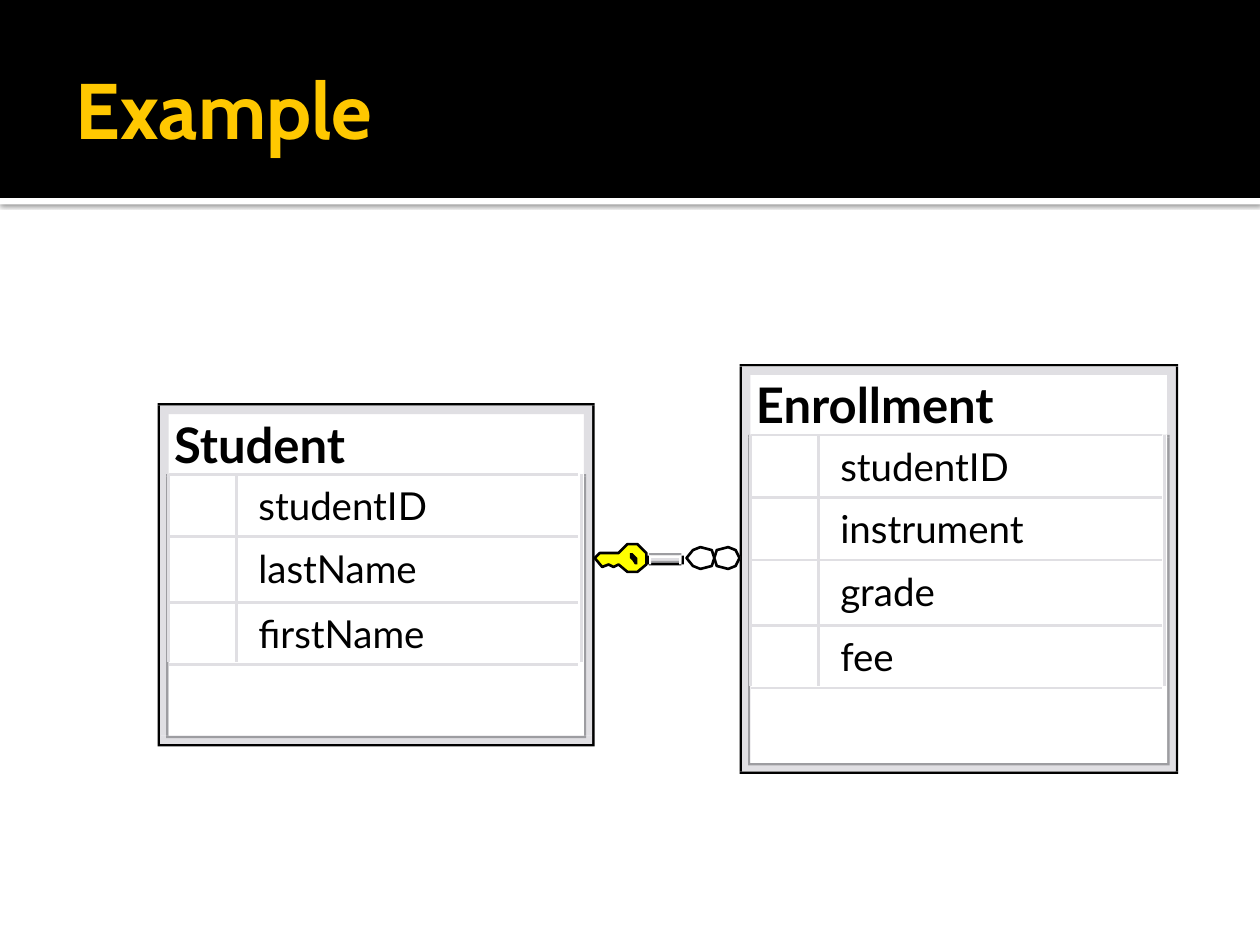
from lxml.etree import SubElement
from pptx import Presentation
from pptx.dml.color import RGBColor
from pptx.enum.shapes import MSO_CONNECTOR as Connector, MSO_SHAPE as Shape
from pptx.enum.text import MSO_ANCHOR as Anchor
from pptx.oxml.ns import qn
from pptx.util import Cm, Pt

BLACK = RGBColor(0x00, 0x00, 0x00)
WHITE = RGBColor(0xFF, 0xFF, 0xFF)
GOLD = RGBColor(0xFF, 0xC8, 0x00)
YELLOW = RGBColor(0xFF, 0xFF, 0x00)
LIGHT = RGBColor(0xE0, 0xDF, 0xE3)
GREY = RGBColor(0x9D, 0x9D, 0xA1)

HAIR = 0.05
FRAME = 0.17
EDGE = HAIR + FRAME


def add_rect(page, left, top, width, height, colour):
    rect = page.shapes.add_shape(
        Shape.RECTANGLE, Cm(left), Cm(top), Cm(width), Cm(height))
    rect.shadow.inherit = False
    rect.fill.solid()
    rect.fill.fore_color.rgb = colour
    rect.line.fill.background()
    return rect


def add_ring(page, left, top, width, height, thick, colour):
    inner = height - 2 * thick
    add_rect(page, left, top, width, thick, colour)
    add_rect(page, left, top + height - thick, width, thick, colour)
    add_rect(page, left, top + thick, thick, inner, colour)
    add_rect(page, left + width - thick, top + thick, thick, inner, colour)


def add_rule(page, x1, y1, x2, y2):
    rule = page.shapes.add_connector(
        Connector.STRAIGHT, Cm(x1), Cm(y1), Cm(x2), Cm(y2))
    rule.line.color.rgb = LIGHT
    rule.line.width = Pt(1.5)
    SubElement(rule._element.spPr, qn("a:effectLst"))


def add_outline(page, left, top, points, fill=None, line=None):
    placed = [(Cm(left + x), Cm(top + y)) for x, y in points]
    builder = page.shapes.build_freeform(*placed[0])
    builder.add_line_segments(placed[1:], close=True)
    shape = builder.convert_to_shape()
    shape.shadow.inherit = False
    if fill is None:
        shape.fill.background()
    else:
        shape.fill.solid()
        shape.fill.fore_color.rgb = fill
    if line is None:
        shape.line.fill.background()
    else:
        shape.line.color.rgb = line
        shape.line.width = Pt(1.5)


def add_text(page, left, top, width, height, text, size, font="Lato",
             colour=BLACK, bold=False):
    box = page.shapes.add_textbox(Cm(left), Cm(top), Cm(width), Cm(height))
    frame = box.text_frame
    frame.word_wrap = False
    frame.margin_left = frame.margin_right = 0
    frame.margin_top = frame.margin_bottom = 0
    span = frame.paragraphs[0].add_run()
    span.text = text
    span.font.size = Pt(size)
    span.font.name = font
    span.font.bold = bold
    span.font.color.rgb = colour
    return frame


def add_header(page, left, top, width, height):
    strip = add_rect(page, left, top + height, width, 0.13, WHITE)
    effects = strip._element.spPr.find(qn("a:effectLst"))
    shadow = SubElement(effects, qn("a:outerShdw"), blurRad=str(Pt(2.5)),
                        dist=str(Pt(0.8)), dir="5400000", rotWithShape="0")
    tint = SubElement(shadow, qn("a:srgbClr"), val="000000")
    SubElement(tint, qn("a:alpha"), val="60000")
    add_rect(page, left, top, width, height, BLACK)
    frame = add_text(page, left + 1.27, top + 0.43, width - 2.54, 3.48,
                     "Example", 45, "Cabin", GOLD, True)
    frame.word_wrap = True
    frame.margin_left = frame.margin_right = Cm(0.25)
    frame.vertical_anchor = Anchor.MIDDLE


def add_entity(page, left, top, width, height, name, name_width, fields):
    add_ring(page, left, top, width, height, HAIR, BLACK)
    add_ring(page, left + HAIR, top + HAIR, width - 2 * HAIR,
             height - 2 * HAIR, FRAME, LIGHT)
    add_text(page, left + 0.33, top + 0.22, name_width, 1.19, name, 28, bold=True)

    body = top + 1.43
    body_height = height - 1.43 - EDGE
    inset = EDGE - HAIR
    add_ring(page, left + inset, body, width - 2 * inset,
             body_height + HAIR, HAIR, GREY)
    add_rect(page, left + EDGE, body, width - 2 * EDGE, body_height, WHITE)

    row = body
    add_rule(page, left + EDGE, row, left + width - 0.33, row)
    for field, field_width, row_height in fields:
        add_text(page, left + 2.03, row + 0.16, field_width, 1.09, field, 22)
        row += row_height
        add_rule(page, left + EDGE, row, left + width - 0.33, row)
    for x in (EDGE, 1.59, width - 0.27):
        add_rule(page, left + x, body, left + x, row - HAIR)


def add_relation(page, left, top):
    bar, bar_width = left + 1.09, 0.66
    for index, colour in enumerate((GREY, WHITE, LIGHT, GREY, BLACK)):
        add_rect(page, bar, top + 0.18 + index * HAIR, bar_width, HAIR, colour)
    for x, colour in ((0, WHITE), (-HAIR, BLACK),
                      (bar_width - HAIR, WHITE), (bar_width, BLACK)):
        add_rect(page, bar + x, top + 0.23, HAIR, 0.18, colour)

    right_loop = (0.28, 0.05, 0, 0.05, 0.28, 0.43, 0.51, 0.43)
    left_loop = (0.28, 0.13, 0, 0.13, 0.28, 0.51, 0.56, 0.51)
    for x, loop in ((2.41, right_loop), (1.85, left_loop)):
        for colour, peak, shoulder in ((WHITE, 0.11, 0.05), (BLACK, 0.22, 0.16)):
            rises = (-peak, -shoulder, 0, shoulder, peak, shoulder, 0, -shoulder)
            add_outline(page, left + x, top + 0.28, list(zip(loop, rises)),
                        line=colour)

    key = [(0, 0.28), (0.1, 0.18), (0.48, 0.18), (0.66, 0), (0.86, 0),
           (1.04, 0.18), (1.04, 0.41), (0.86, 0.56), (0.66, 0.56),
           (0.48, 0.41), (0.38, 0.46), (0.28, 0.41), (0.15, 0.46)]
    hole = [(0.81, 0.41), (0.86, 0.41), (0.86, 0.28), (0.81, 0.23),
            (0.76, 0.18), (0.71, 0.18), (0.71, 0.28), (0.76, 0.33)]
    add_outline(page, left, top, key, YELLOW, BLACK)
    add_outline(page, left, top, hole, BLACK)


def main():
    deck = Presentation()
    deck.slide_width, deck.slide_height = Cm(25.4), Cm(19.05)
    page = deck.slides.add_slide(deck.slide_layouts[6])
    add_header(page, 0, 0, 25.4, 3.99)
    add_entity(page, 14.91, 7.34, 8.84, 8.26, "Enrollment", 5.49, [
        ("studentID", 3.68, 1.26), ("instrument", 3.96, 1.26),
        ("grade", 2.26, 1.32), ("fee", 1.32, 1.26)])
    add_entity(page, 3.18, 8.13, 8.81, 6.92, "Student", 3.96, [
        ("studentID", 3.68, 1.26), ("lastName", 3.35, 1.32),
        ("firstName", 3.45, 1.26)])
    add_relation(page, 11.99, 10.97)
    deck.save("out.pptx")


if __name__ == "__main__":
    main()
